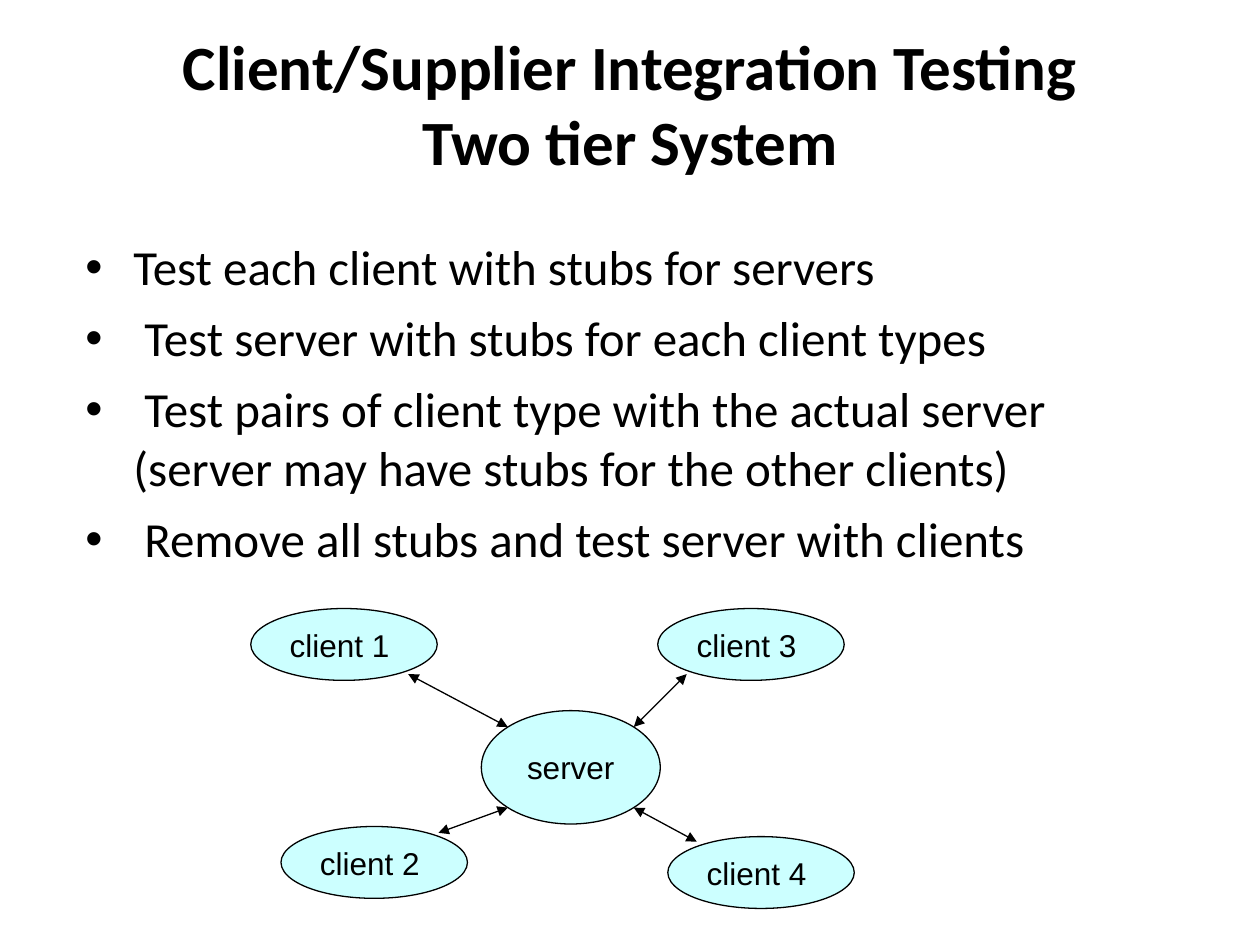
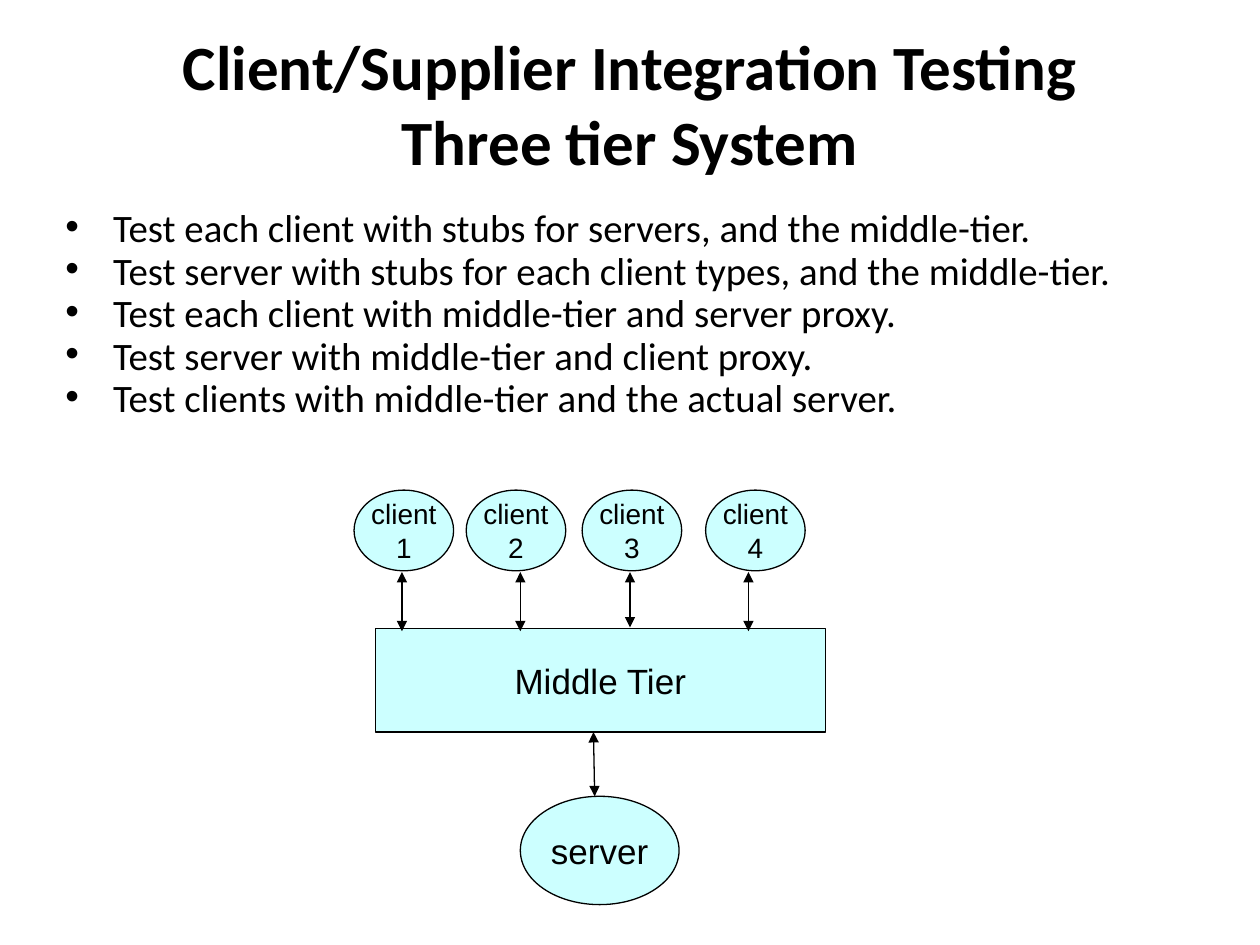
"""Build two slides on integration testing of client/supplier systems."""
import dataclasses

import lxml.etree
import pptx
import pptx.dml.color
import pptx.enum.shapes
import pptx.enum.text
import pptx.oxml.ns
import pptx.util

Inches = pptx.util.Inches
Pt = pptx.util.Pt
qn = pptx.oxml.ns.qn
Preset = pptx.enum.shapes.MSO_SHAPE


@dataclasses.dataclass(frozen=True)
class Theme:
    ink: pptx.dml.color.RGBColor = pptx.dml.color.RGBColor(0, 0, 0)
    node_fill: pptx.dml.color.RGBColor = pptx.dml.color.RGBColor(0xCC, 0xFF, 0xFF)
    text_font: str = "Calibri"
    node_font: str = "Arial"
    title_size: float = 36
    body_size: float = 28
    dense_body_size: float = 22.2
    tier_size: float = 20
    node_size: float = 18
    small_node_size: float = 16
    line_width: float = 0.75
    bullet_indent: float = 0.38


class Deck:
    def __init__(self, presentation, theme):
        self.presentation = presentation
        self.theme = theme
        self.slide = None

    def add_slide(self, title_lines):
        self.slide = self.presentation.slides.add_slide(self.presentation.slide_layouts[6])
        frame = self.add_text_frame(0.5, 0.3, 9, 1.03)
        frame.vertical_anchor = pptx.enum.text.MSO_ANCHOR.MIDDLE
        for paragraph, line in self.fill_paragraphs(frame, title_lines):
            paragraph.alignment = pptx.enum.text.PP_ALIGN.CENTER
            self.add_run(paragraph, line, self.theme.text_font, self.theme.title_size, bold=True)

    def add_text_frame(self, left, top, width, height):
        box = self.slide.shapes.add_textbox(Inches(left), Inches(top), Inches(width), Inches(height))
        box.text_frame.word_wrap = True
        return box.text_frame

    def fill_paragraphs(self, frame, lines):
        for index, line in enumerate(lines):
            yield (frame.add_paragraph() if index else frame.paragraphs[0]), line

    def add_run(self, paragraph, text, font_name, size, bold=False):
        run = paragraph.add_run()
        run.text = text
        run.font.name = font_name
        run.font.size = Pt(size)
        run.font.bold = bold
        run.font.color.rgb = self.theme.ink

    def add_bullets(self, position, lines, size, space_before, line_spacing=1.0):
        frame = self.add_text_frame(*position)
        indent = Inches(self.theme.bullet_indent)
        for index, (paragraph, line) in enumerate(self.fill_paragraphs(frame, lines)):
            properties = paragraph._p.get_or_add_pPr()
            properties.set("marL", str(indent))
            properties.set("indent", str(-indent))
            bullet_font = lxml.etree.SubElement(properties, qn("a:buFont"))
            bullet_font.set("typeface", self.theme.node_font)
            lxml.etree.SubElement(properties, qn("a:buChar")).set("char", "•")
            paragraph.line_spacing = line_spacing
            if index:
                paragraph.space_before = Pt(space_before)
            self.add_run(paragraph, line, self.theme.text_font, size)

    def add_node(self, text, position, size, preset=Preset.OVAL, wrap=True):
        shape = self.slide.shapes.add_shape(preset, *map(Inches, position))
        shape.shadow.inherit = False
        shape.fill.solid()
        shape.fill.fore_color.rgb = self.theme.node_fill
        shape.line.color.rgb = self.theme.ink
        shape.line.width = Pt(self.theme.line_width)
        frame = shape.text_frame
        frame.word_wrap = wrap
        frame.vertical_anchor = pptx.enum.text.MSO_ANCHOR.MIDDLE
        frame.margin_left = frame.margin_right = frame.margin_top = frame.margin_bottom = 0
        paragraph = frame.paragraphs[0]
        paragraph.alignment = pptx.enum.text.PP_ALIGN.CENTER
        self.add_run(paragraph, text, self.theme.node_font, size)
        return shape

    def add_double_arrow(self, *ends):
        connector = self.slide.shapes.add_connector(
            pptx.enum.shapes.MSO_CONNECTOR.STRAIGHT, *map(Inches, ends))
        connector.line.color.rgb = self.theme.ink
        connector.line.width = Pt(self.theme.line_width)
        line = connector.line._get_or_add_ln()
        for end in ("a:headEnd", "a:tailEnd"):
            lxml.etree.SubElement(line, qn(end)).set("type", "triangle")
        lxml.etree.SubElement(connector._element.spPr, qn("a:effectLst"))


def build_two_tier(deck):
    deck.add_slide(["Client/Supplier Integration Testing", "Two tier System"])
    deck.add_bullets((0.58, 1.83, 9, 4.95), [
        "Test each client with stubs for servers",
        " Test server with stubs for each client types",
        " Test pairs of client type with the actual server (server may have stubs for the other clients)",
        " Remove all stubs and test server with clients",
    ], deck.theme.body_size, 7)
    clients = {1: (1.99, 4.83), 2: (2.23, 6.56), 4: (5.3, 6.64), 3: (5.22, 4.83)}
    for number, corner in clients.items():
        deck.add_node(f"client {number} ", (*corner, 1.48, 0.57), deck.theme.node_size, wrap=False)
    deck.add_node("server", (3.82, 5.64, 1.42, 0.9), deck.theme.node_size, wrap=False)
    for ends in ((3.24, 5.35, 4.03, 5.77), (3.48, 6.61, 4.03, 6.41),
                 (5.03, 6.41, 5.53, 6.68), (5.03, 5.77, 5.45, 5.35)):
        deck.add_double_arrow(*ends)


def build_three_tier(deck):
    deck.add_slide(["Client/Supplier Integration Testing", "Three tier System"])
    deck.add_bullets((0.42, 1.67, 9.17, 1.93), [
        "Test each client with stubs for servers, and the middle-tier.",
        "Test server with stubs for each client types, and the middle-tier.",
        "Test each client with middle-tier and server proxy.",
        "Test server with middle-tier and client proxy.",
        "Test clients with middle-tier and the actual server.",
    ], deck.theme.dense_body_size, 5.6, line_spacing=0.7)
    middle_tier = deck.add_node("Middle Tier", (2.98, 4.99, 3.57, 0.82), deck.theme.tier_size,
                                preset=Preset.ROUNDED_RECTANGLE)
    middle_tier.adjustments[0] = 0
    deck.add_node("server", (4.13, 6.32, 1.26, 0.86), deck.theme.tier_size)
    for number, left in enumerate((2.81, 3.7, 4.62, 5.6), start=1):
        deck.add_node(f"client{number}", (left, 3.89, 0.79, 0.64), deck.theme.small_node_size)
    for x, bottom in ((3.19, 5.01), (4.13, 5.01), (5, 4.98), (5.94, 5.01)):
        deck.add_double_arrow(x, 4.54, x, bottom)
    deck.add_double_arrow(4.71, 5.81, 4.72, 6.32)


def main():
    presentation = pptx.Presentation()
    presentation.slide_width = Inches(10)
    presentation.slide_height = Inches(7.5)
    deck = Deck(presentation, Theme())
    build_two_tier(deck)
    build_three_tier(deck)
    presentation.save("out.pptx")


if __name__ == "__main__":
    main()
